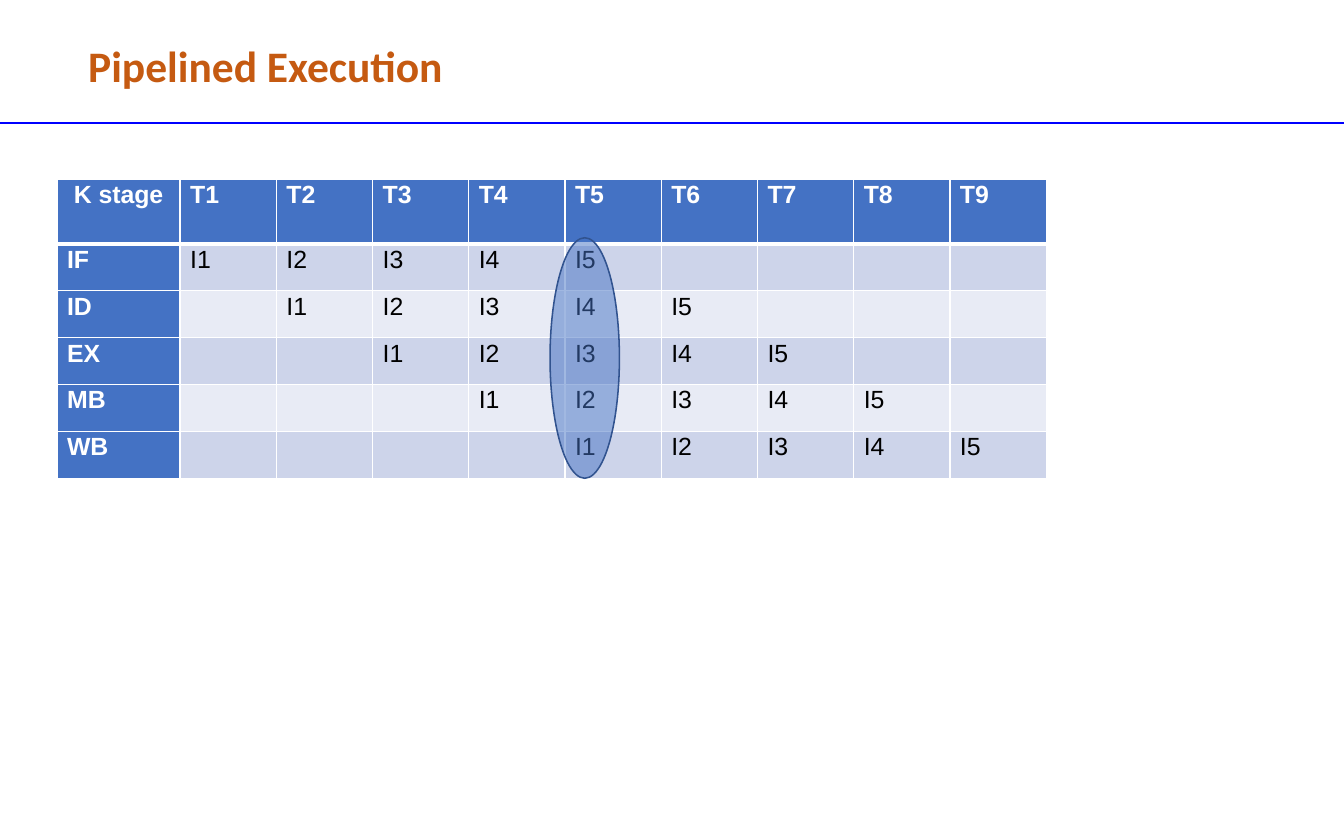
from lxml import etree
from pptx import Presentation
from pptx.dml.color import RGBColor
from pptx.enum.shapes import MSO_CONNECTOR, MSO_SHAPE
from pptx.enum.text import MSO_AUTO_SIZE, PP_ALIGN
from pptx.oxml.ns import qn
from pptx.util import Inches, Pt

STRAIGHT = MSO_CONNECTOR.STRAIGHT
OVAL = MSO_SHAPE.OVAL
CENTER = PP_ALIGN.CENTER
GROW = MSO_AUTO_SIZE.SHAPE_TO_FIT_TEXT

BLUE, WHITE, BLACK = "4472C4", "FFFFFF", "000000"
BANDS = ["CDD4EA", "E8EBF5"]
STAGES = ["IF", "ID", "EX", "MB", "WB"]
INSTRUCTIONS = 5
CYCLES = len(STAGES) + INSTRUCTIONS - 1
STAGE_W, CYCLE_W = 1.1, 0.86
HEAD_H, ROW_H = 0.58, 0.42


def rgb(value):
    """Turn a hex string into a colour."""
    return RGBColor.from_string(value)


def set_font(font, color, **values):
    """Apply a colour and format values to a font."""
    font.color.rgb = rgb(color)
    for name, value in values.items():
        setattr(font, name, value)


def add_heading(s, left, top, width, height, text):
    """Place the slide title and the rule that spans the slide below it."""
    tf = s.shapes.add_textbox(Inches(left), Inches(top), Inches(width), Inches(height)).text_frame
    tf.word_wrap = True
    tf.auto_size = GROW
    r = tf.paragraphs[0].add_run()
    r.text = text
    set_font(r.font, "C55A11", name="Calibri", size=Pt(28), bold=True)


def add_rule(s, width, top):
    """Draw the thin blue line across the slide."""
    line = s.shapes.add_connector(STRAIGHT, 0, Inches(top), Inches(width), Inches(top))
    line.line.color.rgb = rgb("0000FF")
    line.line.width = Pt(0.75)
    etree.SubElement(line._element.spPr, qn("a:effectLst"))


def set_borders(cell, **widths):
    """Give a cell white borders, with widths in points by side."""
    tc_pr = cell._tc.get_or_add_tcPr()
    for side in "LRTB":
        ln = etree.SubElement(tc_pr, qn(f"a:ln{side}"), w=str(Pt(widths.get(side, 1))))
        fill = etree.SubElement(ln, qn("a:solidFill"))
        etree.SubElement(fill, qn("a:srgbClr"), val=WHITE)


def cell_text(row, col):
    """Return the label of a cell, shifting instructions one cycle per stage."""
    if row == 0:
        return f"T{col}" if col else "K stage"
    if col == 0:
        return STAGES[row - 1]
    number = col - row + 1
    return f"I{number}" if 1 <= number <= INSTRUCTIONS else ""


def format_cell(cell, row, col):
    """Fill in one cell with its borders, colour and text."""
    heading = row == 0 or col == 0
    set_borders(cell, T=3 if row == 1 else 1, B=3 if row == 0 else 1)
    cell.fill.solid()
    cell.fill.fore_color.rgb = rgb(BLUE if heading else BANDS[(row - 1) % 2])
    cell.margin_left = cell.margin_right = Inches(0.09)
    cell.margin_top = cell.margin_bottom = 0
    p = cell.text_frame.paragraphs[0]
    p.text = cell_text(row, col)
    p.line_spacing = 1.07
    if row == col == 0:
        p.alignment = CENTER
    for item in [p, *p.runs]:
        set_font(item.font, WHITE if heading else BLACK, name="Arial", size=Pt(16), bold=heading)


def add_pipeline(s, left, top):
    """Build the stage by cycle table and mark the full cycle with an ellipse."""
    width = STAGE_W + CYCLES * CYCLE_W
    height = HEAD_H + len(STAGES) * ROW_H
    table = s.shapes.add_table(len(STAGES) + 1, CYCLES + 1, Inches(left), Inches(top),
                               Inches(width), Inches(height)).table
    table.first_col = True
    for i, column in enumerate(table.columns):
        column.width = Inches(CYCLE_W if i else STAGE_W)
    for i, row in enumerate(table.rows):
        row.height = Inches(ROW_H if i else HEAD_H)
        for j, cell in enumerate(row.cells):
            format_cell(cell, i, j)
    add_highlight(s, left + 3.64, top + 1.29, 2.15, 0.62)


def add_highlight(s, left, top, width, height):
    """Lay a half transparent ellipse, turned upright, over a column."""
    sp = s.shapes.add_shape(OVAL, Inches(left), Inches(top), Inches(width), Inches(height))
    sp.rotation = 90
    sp.shadow.inherit = False
    sp.fill.solid()
    sp.fill.fore_color.rgb = rgb(BLUE)
    color = sp._element.spPr.find(qn("a:solidFill")).find(qn("a:srgbClr"))
    etree.SubElement(color, qn("a:alpha"), val="50000")
    sp.line.color.rgb = rgb("31538F")
    sp.line.width = Pt(1)


def main():
    """Build and save the presentation."""
    prs = Presentation()
    prs.slide_width, prs.slide_height = Inches(12.01), Inches(7.5)
    s = prs.slides.add_slide(prs.slide_layouts[6])
    add_rule(s, 12.01, 1.1)
    add_pipeline(s, 0.51, 1.6)
    add_heading(s, 0.69, 0.3, 4.09, 0.57, "Pipelined Execution")
    prs.save("out.pptx")


if __name__ == "__main__":
    main()
